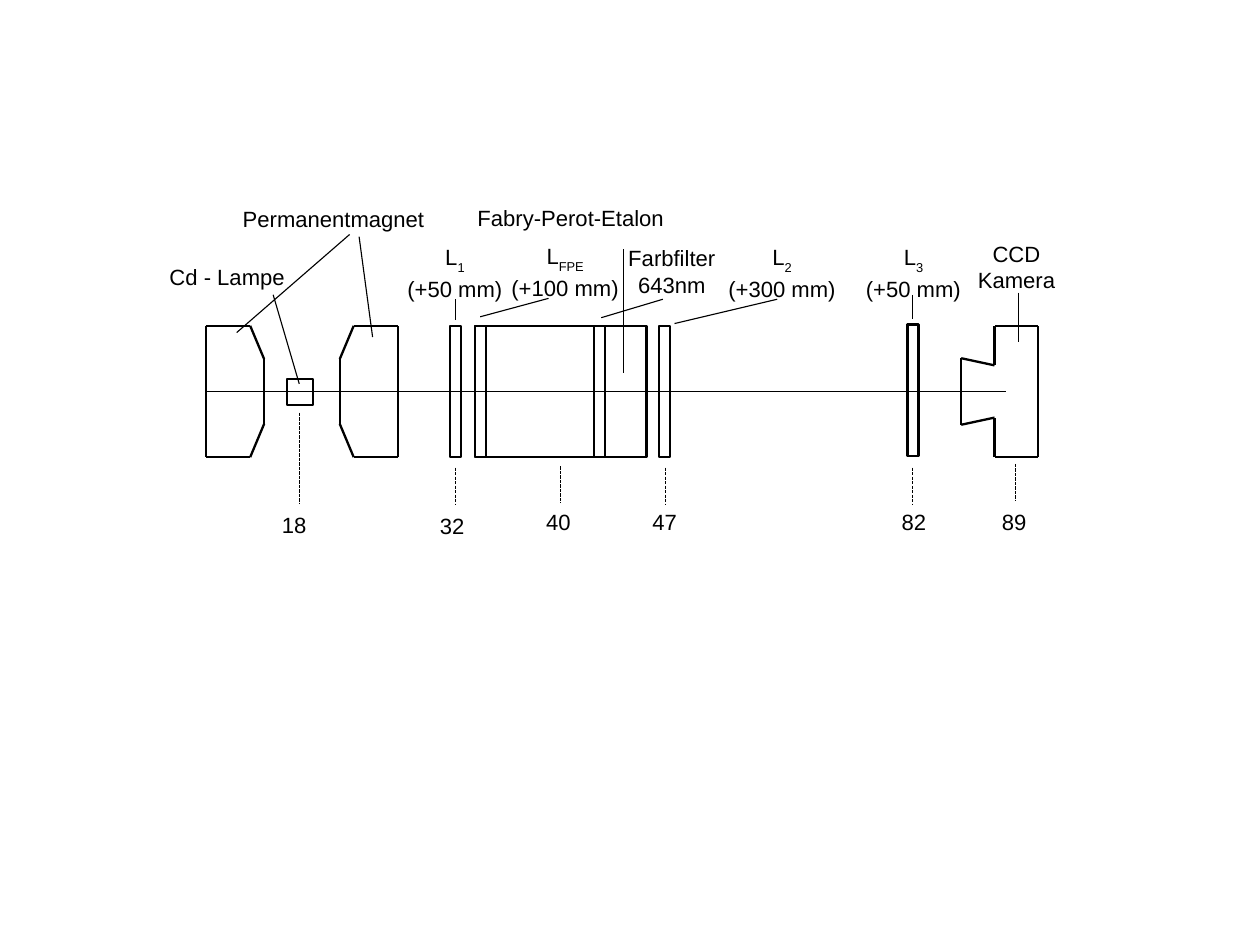
from lxml import etree
from pptx import Presentation
from pptx.dml.color import RGBColor
from pptx.enum.dml import MSO_LINE
from pptx.enum.shapes import MSO_CONNECTOR, MSO_SHAPE
from pptx.enum.text import MSO_ANCHOR, PP_ALIGN
from pptx.oxml.ns import qn
from pptx.util import Cm, Pt

STRAIGHT = MSO_CONNECTOR.STRAIGHT
RECTANGLE = MSO_SHAPE.RECTANGLE
DOTTED = MSO_LINE.SQUARE_DOT
TOP = MSO_ANCHOR.TOP
CENTER = PP_ALIGN.CENTER

BLACK = "000000"
THIN, THICK = 0.71, 1.45
BENCH_TOP, AXIS = 7.24, 8.7
PART_HEIGHT = 2 * (AXIS - BENCH_TOP)
LENS_WIDTH = 0.24

FONT_FORMAT = {"name": "Arial", "size": Pt(13.9)}
FRAME_FORMAT = {
    "word_wrap": False, "vertical_anchor": TOP,
    "margin_left": Cm(0.1), "margin_right": Cm(0.1),
    "margin_top": Cm(0.13), "margin_bottom": Cm(0.13),
}

# left and top of the parts with full bench height
LENSES = [(10, BENCH_TOP), (10.56, BENCH_TOP), (13.2, BENCH_TOP),
          (14.65, BENCH_TOP), (20.17, 7.21)]

# upper half of the camera outline
CAMERA = [(23.06, AXIS), (23.06, BENCH_TOP), (22.1, BENCH_TOP),
          (22.1, 8.12), (21.36, 7.96), (21.36, AXIS)]

# left, top, width, lines; each line is (text, subscript)
LABELS = [
    (5.13, 4.43, 4.57, [("Permanentmagnet", "")]),
    (3.5, 5.72, 3.1, [("Cd - Lampe", "")]),
    (10.35, 4.42, 4.67, [("Fabry-Perot-Etalon", "")]),
    (8.79, 5.28, 2.64, [("L", "1"), ("(+50 mm)", "")]),
    (11.11, 5.26, 2.9, [("L", "FPE"), ("(+100 mm)", "")]),
    (13.7, 5.31, 2.46, [("Farbfilter", ""), ("643nm", "")]),
    (15.93, 5.28, 2.9, [("L", "2"), ("(+300 mm)", "")]),
    (18.98, 5.28, 2.64, [("L", "3"), ("(+50 mm)", "")]),
    (21.47, 5.21, 2.24, [("CCD", ""), ("Kamera", "")]),
]

# from x, y to x, y
LEADERS = [
    (7.98, 5.26, 8.28, 7.49), (7.77, 5.21, 5.26, 7.39), (6.07, 6.55, 6.65, 8.53),
    (10.12, 6.65, 10.12, 7.11), (12.19, 6.63, 10.67, 7.04),
    (14.73, 6.65, 13.36, 7.06), (17.27, 6.65, 14.99, 7.19),
    (20.27, 6.55, 20.27, 7.09), (22.63, 6.5, 22.63, 7.59),
    (13.85, 5.54, 13.85, 8.28),
]

# position value, left and top of its box, x, top and bottom of its dotted line
POSITIONS = [
    ("18", 6.02, 11.23, 6.65, 9.17, 11.18),
    ("32", 9.53, 11.25, 10.13, 10.39, 11.2),
    ("40", 11.89, 11.18, 12.45, 10.36, 11.18),
    ("47", 14.25, 11.18, 14.78, 10.39, 11.2),
    ("82", 19.79, 11.18, 20.27, 10.39, 11.2),
    ("89", 22.02, 11.18, 22.56, 10.31, 11.13),
]


def color(value):
    return RGBColor.from_string(value)


def apply(target, values):
    for name, value in values.items():
        setattr(target, name, value)


def add_line(page, x1, y1, x2, y2, width=THIN, dash=None):
    line = page.shapes.add_connector(STRAIGHT, Cm(x1), Cm(y1), Cm(x2), Cm(y2))
    line.line.color.rgb = color(BLACK)
    line.line.width = Pt(width)
    if dash:
        line.line.dash_style = dash
    etree.SubElement(line._element.spPr, qn("a:effectLst"))


def add_box(page, left, top, width, height):
    box = page.shapes.add_shape(RECTANGLE, Cm(left), Cm(top), Cm(width), Cm(height))
    box.shadow.inherit = False
    box.fill.background()
    box.line.color.rgb = color(BLACK)
    box.line.width = Pt(THICK)


def add_mirrored_outline(page, upper_half):
    lower_half = [(x, 2 * AXIS - y) for x, y in upper_half]
    for half in (upper_half, lower_half):
        for start, end in zip(half, half[1:]):
            add_line(page, *start, *end, width=THICK)


def add_magnet(page, outer, direction):
    shoulder, pole = outer + direction * 0.99, outer + direction * 1.3
    add_mirrored_outline(page, [(outer, AXIS), (outer, BENCH_TOP), (shoulder, BENCH_TOP),
                                (pole, 7.98), (pole, AXIS)])


def add_span(para, text, subscript=False):
    span = para.add_run()
    span.text = text
    apply(span.font, FONT_FORMAT)
    span.font.color.rgb = color(BLACK)
    if subscript:
        span._r.get_or_add_rPr().set("baseline", "-33000")


def add_label(page, left, top, width, lines):
    height = 1.22 if len(lines) == 1 else 1.8
    box = page.shapes.add_textbox(Cm(left), Cm(top), Cm(width), Cm(height))
    frame = box.text_frame
    apply(frame, FRAME_FORMAT)
    for index, (text, subscript) in enumerate(lines):
        para = frame.add_paragraph() if index else frame.paragraphs[0]
        para.alignment = CENTER
        add_span(para, text)
        if subscript:
            add_span(para, subscript, subscript=True)


def main():
    deck = Presentation()
    deck.slide_width, deck.slide_height = Cm(28), Cm(21)
    page = deck.slides.add_slide(deck.slide_layouts[6])

    # Optical axis and light source
    add_line(page, 4.57, AXIS, 22.35, AXIS)
    add_magnet(page, 4.57, 1)
    add_magnet(page, 8.85, -1)
    add_box(page, 6.38, 8.43, 0.57, 0.57)

    # Etalon, lenses and camera
    add_box(page, 10.56, BENCH_TOP, 3.81, PART_HEIGHT)
    for left, top in LENSES:
        add_box(page, left, top, LENS_WIDTH, PART_HEIGHT)
    add_mirrored_outline(page, CAMERA)

    # Names with their leader lines
    for label in LABELS:
        add_label(page, *label)
    for leader in LEADERS:
        add_line(page, *leader)

    # Positions along the bench
    for value, left, top, x, start, end in POSITIONS:
        add_line(page, x, start, x, end, dash=DOTTED)
        add_label(page, left, top, 1.04, [(value, "")])

    deck.save("out.pptx")


if __name__ == "__main__":
    main()
